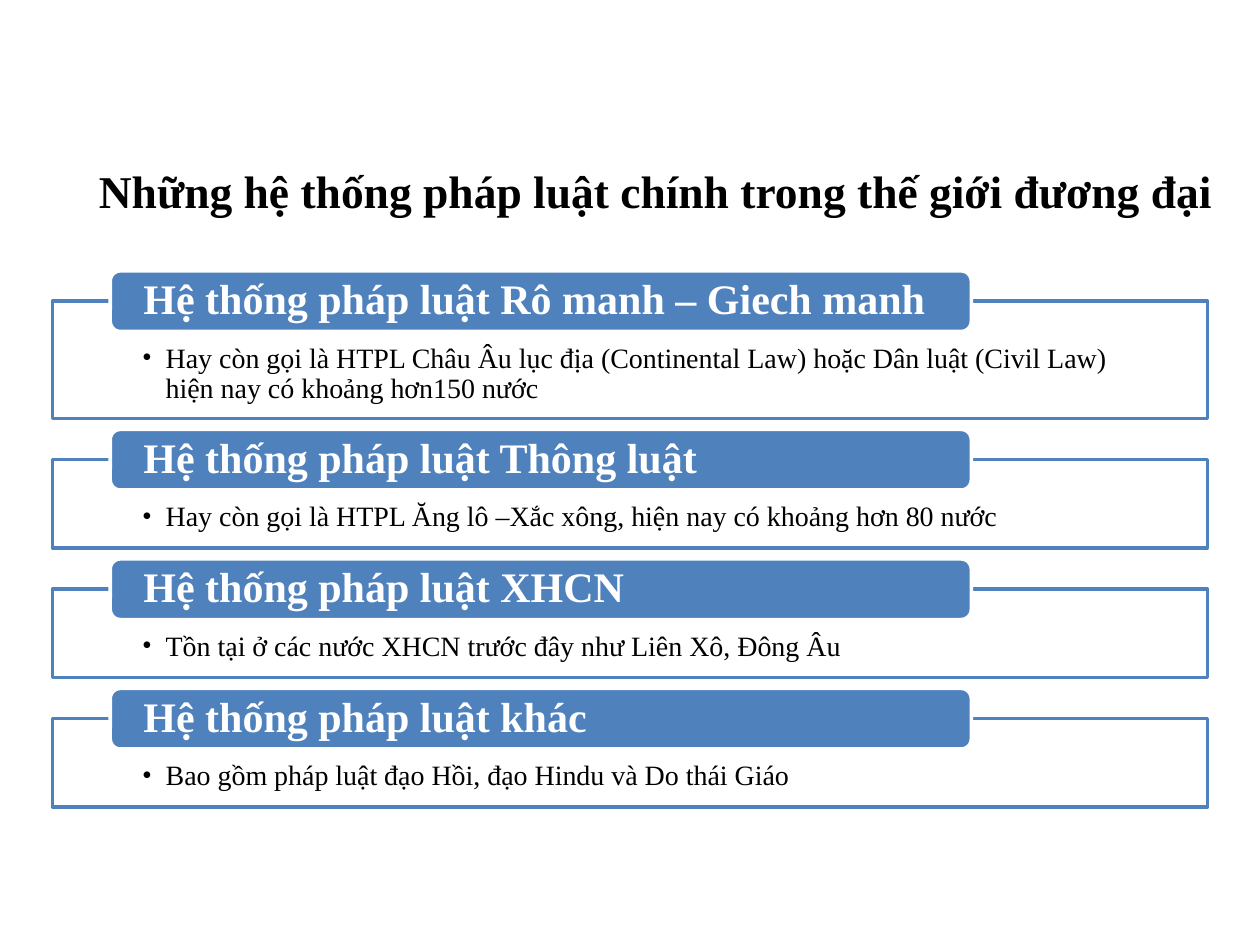
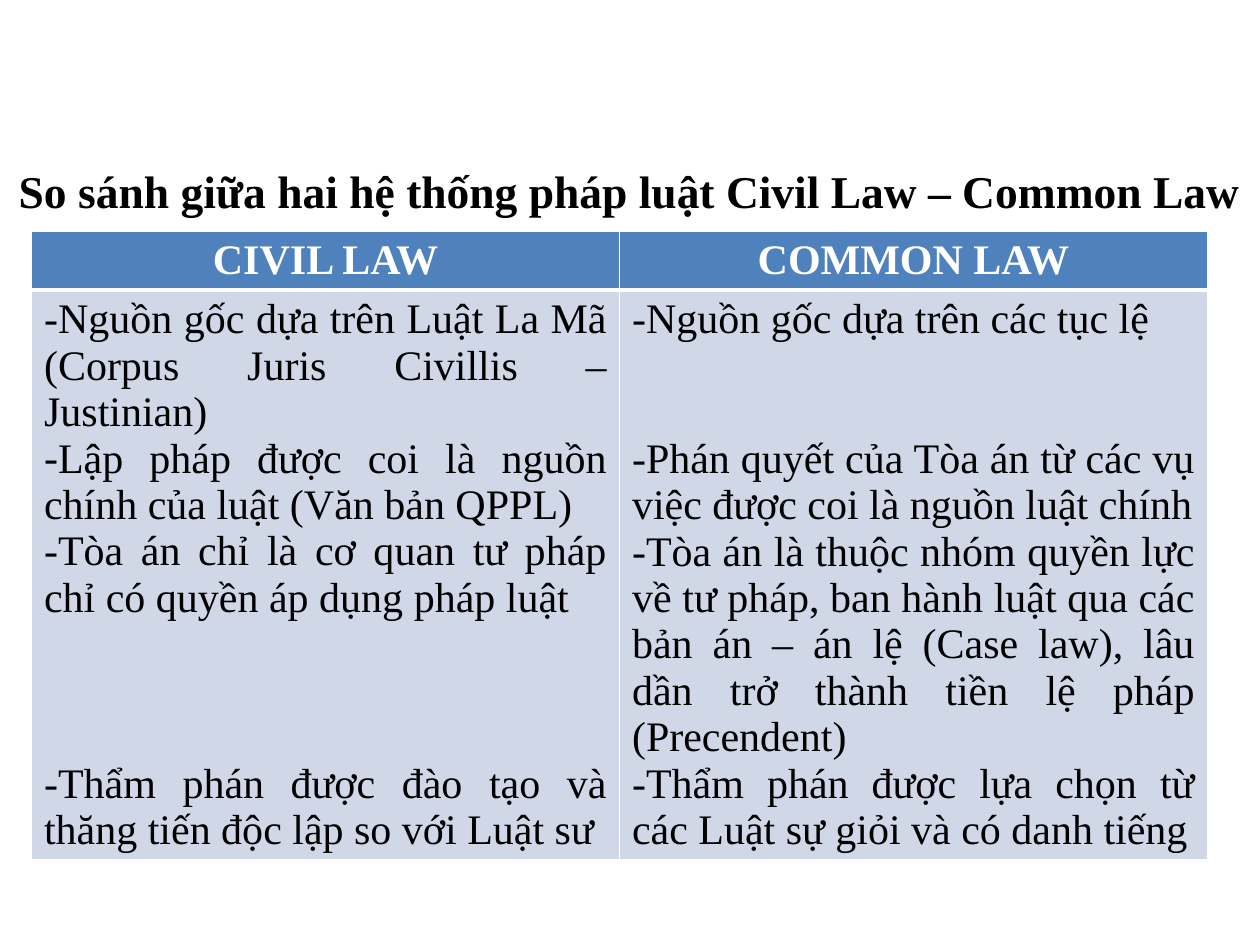
from dataclasses import dataclass

from lxml.etree import SubElement
from pptx import Presentation
from pptx.dml.color import RGBColor
from pptx.enum.shapes import MSO_SHAPE
from pptx.enum.text import MSO_ANCHOR, MSO_AUTO_SIZE, PP_ALIGN
from pptx.oxml.ns import qn
from pptx.util import Pt


@dataclass(frozen=True)
class Theme:
    font: str = "Times New Roman"
    blue: RGBColor = RGBColor(0x4F, 0x81, 0xBD)
    pale: RGBColor = RGBColor(0xD0, 0xD8, 0xE8)
    white: RGBColor = RGBColor(0xFF, 0xFF, 0xFF)
    black: RGBColor = RGBColor(0x00, 0x00, 0x00)
    title: int = 26
    heading: int = 24
    body: int = 16


T = Theme()


def style(p, size, color, bold=False, align=PP_ALIGN.LEFT):
    p.alignment = align
    for r in p.runs:
        r.font.name = T.font
        r.font.size = Pt(size)
        r.font.bold = bold
        r.font.color.rgb = color


def bullet(p, char, indent=0):
    pPr = p._p.get_or_add_pPr()
    pPr.set("marL", str(Pt(indent)))
    pPr.set("indent", str(-Pt(indent)))
    SubElement(pPr, qn("a:buFont"), typeface=T.font)
    SubElement(pPr, qn("a:buChar"), char=char)


prs = Presentation()
prs.slide_width, prs.slide_height = Pt(720), Pt(540)

# Slides and titles: text, left edge (each title runs to the right slide edge)
titles = [
    ("Những hệ thống pháp luật chính trong thế giới đương đại", 30),
    ("So sánh giữa hai hệ thống pháp luật Civil Law – Common Law", 0),
]
for text, left in titles:
    s = prs.slides.add_slide(prs.slide_layouts[5])
    sp = s.shapes.title
    sp.left, sp.top, sp.width, sp.height = Pt(left), Pt(60), Pt(720 - left), Pt(66)
    tf = sp.text_frame
    tf.text = text
    tf.auto_size = MSO_AUTO_SIZE.NONE
    tf.vertical_anchor = MSO_ANCHOR.BOTTOM
    tf.margin_bottom = Pt(1.6)
    style(tf.paragraphs[0], T.title, T.black, True, PP_ALIGN.CENTER)

systems_slide, compare_slide = prs.slides

# Slide 1: framed descriptions, each with a heading tab on its top edge
systems = [
    ("Hệ thống pháp luật Rô manh – Giech manh",
     "Hay còn gọi là HTPL Châu Âu lục địa (Continental Law) hoặc Dân luật "
     "(Civil Law) hiện nay có khoảng hơn150 nước", 67),
    ("Hệ thống pháp luật Thông luật",
     "Hay còn gọi là HTPL Ăng lô –Xắc xông, hiện nay có khoảng hơn 80 nước", 50.4),
    ("Hệ thống pháp luật XHCN",
     "Tồn tại ở các nước XHCN trước đây như Liên Xô, Đông Âu", 50.4),
    ("Hệ thống pháp luật khác",
     "Bao gồm pháp luật đạo Hồi, đạo Hindu và Do thái Giáo", 50.4),
]
tab_height, gap = 34.6, 6.3
top = 154.8
for heading, description, height in systems:
    frame_top = top + tab_height / 2
    parts = [
        # preset, box, fill, line, margins, anchor, text, size, colour, bold
        (MSO_SHAPE.RECTANGLE, (30, frame_top, 660, height), T.white, T.blue,
         (51.2, 24.5, 51.2, 8.5), MSO_ANCHOR.TOP, description, T.body, T.black, False),
        (MSO_SHAPE.ROUNDED_RECTANGLE, (63, top, 492, tab_height), T.blue, T.white,
         (17.3, 0, 17.3, 0), MSO_ANCHOR.MIDDLE, heading, T.heading, T.white, True),
    ]
    for preset, box, fill, line, margins, anchor, text, size, color, bold in parts:
        sp = systems_slide.shapes.add_shape(preset, *map(Pt, box))
        sp.shadow.inherit = False
        sp.fill.solid()
        sp.fill.fore_color.rgb = fill
        sp.line.color.rgb = line
        sp.line.width = Pt(2)
        tf = sp.text_frame
        tf.word_wrap = True
        tf.vertical_anchor = anchor
        tf.margin_left, tf.margin_top, tf.margin_right, tf.margin_bottom = map(Pt, margins)
        p = tf.paragraphs[0]
        p.text = text
        p.line_spacing = 0.9
        style(p, size, color, bold)
        if text == description:
            bullet(p, "•", 13.5)
    top = frame_top + height + gap

# Slide 2: comparison table; each point has the number of lines left free above it
columns = [
    ("CIVIL LAW", [
        ("Nguồn gốc dựa trên Luật La Mã (Corpus Juris Civillis – Justinian)", 0),
        ("Lập pháp được coi là nguồn chính của luật (Văn bản QPPL)", 0),
        ("Tòa án chỉ là cơ quan tư pháp chỉ có quyền áp dụng pháp luật", 0),
        ("Thẩm phán được đào tạo và thăng tiến độc lập so với Luật sư", 3),
    ]),
    ("COMMON LAW", [
        ("Nguồn gốc dựa trên các tục lệ", 0),
        ("Phán quyết của Tòa án từ các vụ việc được coi là nguồn luật chính", 2),
        ("Tòa án là thuộc nhóm quyền lực về tư pháp, ban hành luật qua các bản án "
         "– án lệ (Case law), lâu dần trở thành tiền lệ pháp (Precendent)", 0),
        ("Thẩm phán được lựa chọn từ các Luật sự giỏi và có danh tiếng", 0),
    ]),
]
line_height = 26.57
table = compare_slide.shapes.add_table(2, 2, Pt(18), Pt(132), Pt(672), Pt(358)).table
table.rows[0].height, table.rows[1].height = Pt(33), Pt(325)

for col, (heading, points) in enumerate(columns):
    head, body = table.cell(0, col), table.cell(1, col)
    head.text = heading
    style(head.text_frame.paragraphs[0], T.heading, T.white, True, PP_ALIGN.CENTER)

    body.text = "\n".join(text for text, _ in points)
    for p, (_, free_lines) in zip(body.text_frame.paragraphs, points):
        style(p, T.heading, T.black, align=PP_ALIGN.JUSTIFY)
        if free_lines:
            p.space_before = Pt(free_lines * line_height)
        bullet(p, "-")

    # White borders, thicker between heading and body
    for cell, fill, widths in [(head, T.blue, (1, 1, 1, 3)), (body, T.pale, (1, 1, 3, 1))]:
        tcPr = cell._tc.get_or_add_tcPr()
        for side, width in zip("LRTB", widths):
            ln = SubElement(tcPr, qn(f"a:ln{side}"), w=str(Pt(width)))
            SubElement(SubElement(ln, qn("a:solidFill")), qn("a:srgbClr"), val=str(T.white))
        cell.fill.solid()
        cell.fill.fore_color.rgb = fill

prs.save("out.pptx")
